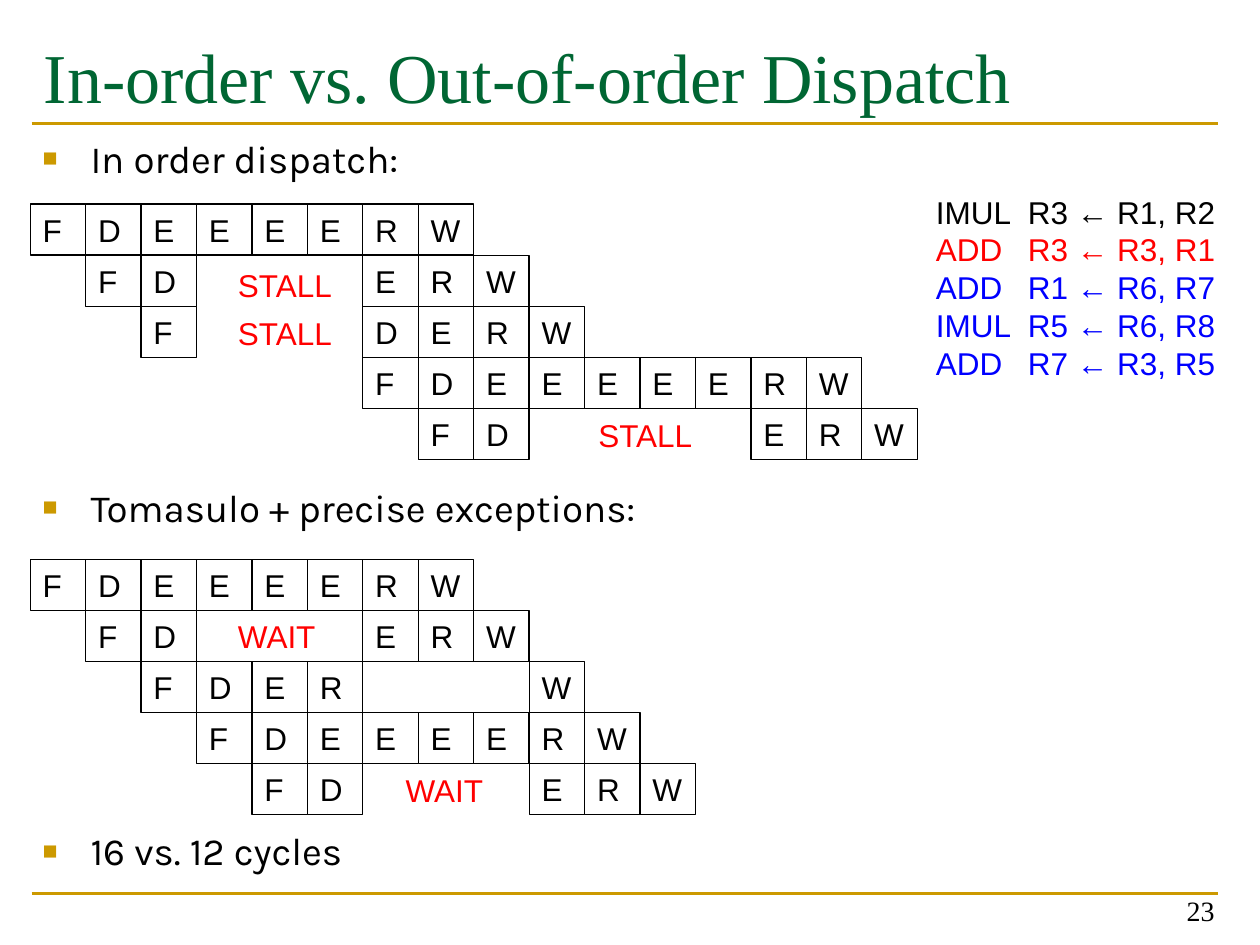
from pptx import Presentation
from pptx.dml.color import RGBColor
from pptx.enum.shapes import MSO_CONNECTOR as Connector, MSO_SHAPE as Shape
from pptx.enum.text import MSO_ANCHOR as Anchor, PP_ALIGN as Align
from pptx.oxml.ns import qn
from pptx.util import Inches, Pt
from lxml.etree import SubElement

BLACK, WHITE, RED, BLUE = "000000", "FFFFFF", "FF0000", "0000FF"
GREEN, GOLD = "006633", "CC9900"
SANS, SERIF, BODY = "Arial", "Times New Roman", "Karla"

# Pipeline grid: one column per cycle, one row per instruction
LEFT, COLUMN, ROW = 0.24, 0.44, 1.62 / 4
IN_ORDER_TOP, TOMASULO_TOP = 1.62, 4.44

# A dot is a cycle without a stage
IN_ORDER = [
    "FDEEEERW",
    ".FD...ERW",
    "..F...DERW",
    "......FDEEEEERW",
    ".......FD....ERW",
]
TOMASULO = [
    "FDEEEERW",
    ".FD...ERW",
    "..FDER...W",
    "...FDEEEERW",
    "....FD...ERW",
]
LABELS = [
    ("STALL", 1.79, 2.06),
    ("STALL", 1.79, 2.44),
    ("STALL", 4.65, 3.25),
    ("WAIT", 1.79, 4.85),
    ("WAIT", 3.12, 6.07),
]
INSTRUCTIONS = [
    ("IMUL\tR3 ← R1, R2", BLACK),
    ("ADD\tR3 ← R3, R1", RED),
    ("ADD\tR1 ← R6, R7", BLUE),
    ("IMUL\tR5 ← R6, R8", BLUE),
    ("ADD\tR7 ← R3, R5", BLUE),
]
# Text and the space before it in points
BULLETS = [
    ("In order dispatch:", 0),
    ("Tomasulo + precise exceptions:", 173),
    ("16 vs. 12 cycles", 170),
]


def color(value):
    return RGBColor.from_string(value)


class SlideBuilder:
    def __init__(self, slide):
        self.slide = slide

    def frame(self, shape, anchor=Anchor.TOP, top_margin=0.05):
        frame = shape.text_frame
        frame.word_wrap = True
        frame.vertical_anchor = anchor
        frame.margin_right = 0
        frame.margin_top = Inches(top_margin)
        return frame

    def run(self, paragraph, text, size=18, font=SANS, fill=BLACK):
        run = paragraph.add_run()
        run.text = text
        run.font.size = Pt(size)
        run.font.name = font
        run.font.color.rgb = color(fill)

    def box(self, left, top, width, height, **options):
        shape = self.slide.shapes.add_textbox(
            Inches(left), Inches(top), Inches(width), Inches(height))
        return self.frame(shape, **options)

    def rule(self, top):
        line = self.slide.shapes.add_connector(
            Connector.STRAIGHT, Inches(0.25), Inches(top), Inches(9.67), Inches(top))
        line.line.color.rgb = color(GOLD)
        line.line.width = Pt(1.5)
        SubElement(line._element.spPr, qn("a:effectLst"))

    def bullets(self, frame, items):
        for index, (text, space) in enumerate(items):
            paragraph = frame.paragraphs[0] if index == 0 else frame.add_paragraph()
            paragraph.space_before = Pt(space)
            properties = paragraph._p.get_or_add_pPr()
            properties.set("marL", str(Inches(0.38)))
            properties.set("indent", str(-Inches(0.38)))
            bullet_color = SubElement(properties, qn("a:buClr"))
            SubElement(bullet_color, qn("a:srgbClr"), val=GOLD)
            SubElement(properties, qn("a:buSzPct"), val="65000")
            SubElement(properties, qn("a:buFont"), typeface=SANS)
            SubElement(properties, qn("a:buChar"), char="■")
            self.run(paragraph, text, 22, BODY)

    def code(self, frame, lines):
        for index, (text, fill) in enumerate(lines):
            paragraph = frame.paragraphs[0] if index == 0 else frame.add_paragraph()
            tabs = SubElement(paragraph._p.get_or_add_pPr(), qn("a:tabLst"))
            SubElement(tabs, qn("a:tab"), pos=str(Inches(0.73)), algn="l")
            self.run(paragraph, text, fill=fill)

    def stage(self, letter, left, top):
        shape = self.slide.shapes.add_shape(
            Shape.RECTANGLE, Inches(left), Inches(top), Inches(COLUMN), Inches(ROW))
        shape.shadow.inherit = False
        shape.fill.solid()
        shape.fill.fore_color.rgb = color(WHITE)
        shape.line.color.rgb = color(BLACK)
        shape.line.width = Pt(0.75)
        paragraph = self.frame(shape, Anchor.MIDDLE).paragraphs[0]
        paragraph.alignment = Align.LEFT
        self.run(paragraph, letter)

    def pipeline(self, rows, top):
        for row, stages in enumerate(rows):
            for cycle, letter in enumerate(stages):
                if letter != ".":
                    self.stage(letter, LEFT + cycle * COLUMN, top + row * ROW)


def main():
    presentation = Presentation()
    presentation.slide_width = Inches(10)
    presentation.slide_height = Inches(7.5)
    slide = presentation.slides.add_slide(presentation.slide_layouts[6])
    builder = SlideBuilder(slide)

    # Title and rules
    builder.rule(7.09)
    builder.rule(0.98)
    title = builder.box(0.25, 0.17, 9.42, 1.17, top_margin=0.1)
    builder.run(title.paragraphs[0], "In-order vs. Out-of-order Dispatch", 40, SERIF, GREEN)

    # Bullets
    builder.bullets(builder.box(0.24, 1.02, 9.42, 5.95), BULLETS)

    # Pipeline diagrams
    builder.pipeline(IN_ORDER, IN_ORDER_TOP)
    builder.pipeline(TOMASULO, TOMASULO_TOP)
    for text, left, top in LABELS:
        label = builder.box(left, top, 0.95, 0.4)
        builder.run(label.paragraphs[0], text, fill=RED)

    # Instruction listing
    builder.code(builder.box(7.33, 1.48, 2.44, 1.61), INSTRUCTIONS)

    # Slide number
    number = builder.box(7.41, 6.91, 2.23, 0.5, anchor=Anchor.BOTTOM)
    number.paragraphs[0].alignment = Align.RIGHT
    builder.run(number.paragraphs[0], "23", 16, SERIF)

    presentation.save("out.pptx")


if __name__ == "__main__":
    main()
